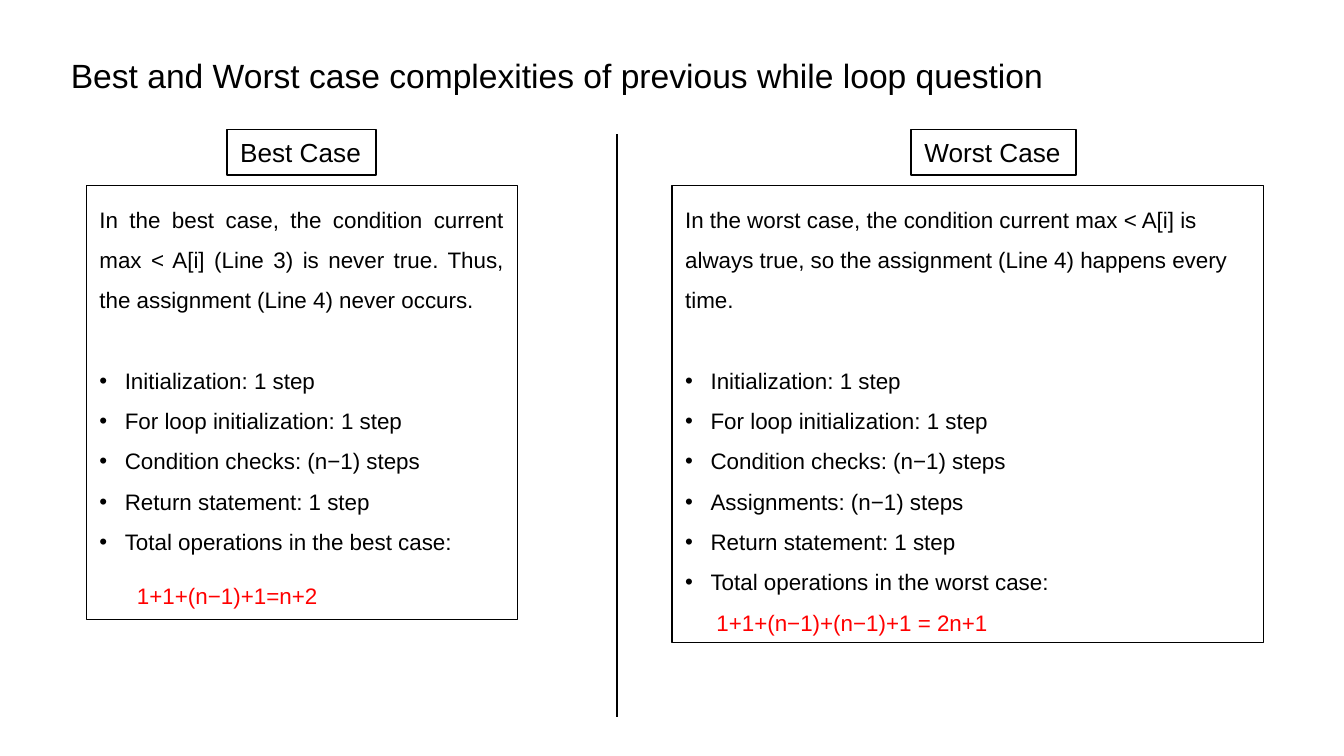
import pptx
import pptx.dml.color
import pptx.enum.shapes
import pptx.enum.text
import pptx.oxml.ns
import pptx.util
from lxml import etree

Cm = pptx.util.Cm
Pt = pptx.util.Pt
ALIGN = pptx.enum.text.PP_ALIGN
BLACK = pptx.dml.color.RGBColor(0x00, 0x00, 0x00)
RED = pptx.dml.color.RGBColor(0xFF, 0x00, 0x00)
BULLET_INDENT = Cm(0.48)


def style(paragraph, size, color=BLACK, align=ALIGN.LEFT):
    paragraph.alignment = align
    paragraph.font.name = "Arial"
    paragraph.font.size = Pt(size)
    paragraph.font.color.rgb = color


def add_frame(left, top, width, height, wrap):
    frame = slide.shapes.add_shape(
        pptx.enum.shapes.MSO_SHAPE.RECTANGLE, Cm(left), Cm(top), Cm(width), Cm(height))
    frame.shadow.inherit = False
    frame.fill.background()
    frame.line.color.rgb = BLACK
    frame.line.width = Pt(0.75)
    content = frame.text_frame
    content.word_wrap = wrap
    content.auto_size = pptx.enum.text.MSO_AUTO_SIZE.SHAPE_TO_FIT_TEXT
    content.vertical_anchor = pptx.enum.text.MSO_ANCHOR.TOP
    return content


presentation = pptx.Presentation()
presentation.slide_width = Cm(25.4)
presentation.slide_height = Cm(14.29)
slide = presentation.slides.add_slide(presentation.slide_layouts[6])

# Title
title = slide.shapes.add_textbox(Cm(1.09), Cm(0.91), Cm(19.25), Cm(1.02)).text_frame
title.word_wrap = False
title.paragraphs[0].text = "Best and Worst case complexities of previous while loop question"
style(title.paragraphs[0], 18)

# Divider between the two cases
divider = slide.shapes.add_connector(
    pptx.enum.shapes.MSO_CONNECTOR.STRAIGHT, Cm(11.66), Cm(2.54), Cm(11.66), Cm(13.56))
divider.line.color.rgb = BLACK
divider.line.width = Pt(0.75)
etree.SubElement(divider._element.spPr, pptx.oxml.ns.qn("a:effectLst"))

# Each case: heading, heading left and width, box left, width and height, alignment,
# explanation, assignment steps, total, total's indent, space before and line spacing
cases = [
    ("Best Case", 4.29, 2.82, 1.63, 8.15, 8.2, ALIGN.JUSTIFY,
     "In the best case, the condition current max < A[i] (Line 3) is never true. "
     "Thus, the assignment (Line 4) never occurs.",
     [], "1+1+(n−1)+1=n+2", 0.71, 14.4, 1.0),
    ("Worst Case", 17.22, 3.12, 12.7, 11.18, 8.64, ALIGN.LEFT,
     "In the worst case, the condition current max < A[i] is always true, "
     "so the assignment (Line 4) happens every time.",
     ["Assignments: (n−1) steps"], "1+1+(n−1)+(n−1)+1 = 2n+1", 0.59, 0, 1.5),
]

for (name, name_left, name_width, left, width, height, align, explanation,
     assignments, total, total_indent, total_gap, total_spacing) in cases:
    # Heading
    heading = add_frame(name_left, 2.45, name_width, 0.86, False).paragraphs[0]
    heading.text = name
    style(heading, 14)

    # Explanation
    analysis = add_frame(left, 3.51, width, height, True)
    reason = analysis.paragraphs[0]
    reason.text = explanation
    reason.line_spacing = 1.5
    style(reason, 12, align=align)

    # Step counts
    steps = ["Initialization: 1 step", "For loop initialization: 1 step",
             "Condition checks: (n−1) steps", *assignments, "Return statement: 1 step",
             f"Total operations in the {name.lower()}:"]
    for number, step in enumerate(steps):
        count = analysis.add_paragraph()
        count.text = step
        properties = count._p.get_or_add_pPr()
        properties.set("marL", str(BULLET_INDENT))
        properties.set("indent", str(-BULLET_INDENT))
        bullet_color = etree.SubElement(properties, pptx.oxml.ns.qn("a:buClr"))
        etree.SubElement(bullet_color, pptx.oxml.ns.qn("a:srgbClr"), val=str(BLACK))
        etree.SubElement(properties, pptx.oxml.ns.qn("a:buFont"), typeface="Arial")
        etree.SubElement(properties, pptx.oxml.ns.qn("a:buChar"), char="•")
        count.line_spacing = 1.5
        if number == 0:
            count.space_before = Pt(21.6)
        style(count, 12, align=align)

    # Total
    result = analysis.add_paragraph()
    result.text = total
    result._p.get_or_add_pPr().set("marL", str(Cm(total_indent)))
    result.line_spacing = total_spacing
    result.space_before = Pt(total_gap)
    style(result, 12, RED)

presentation.save("out.pptx")
